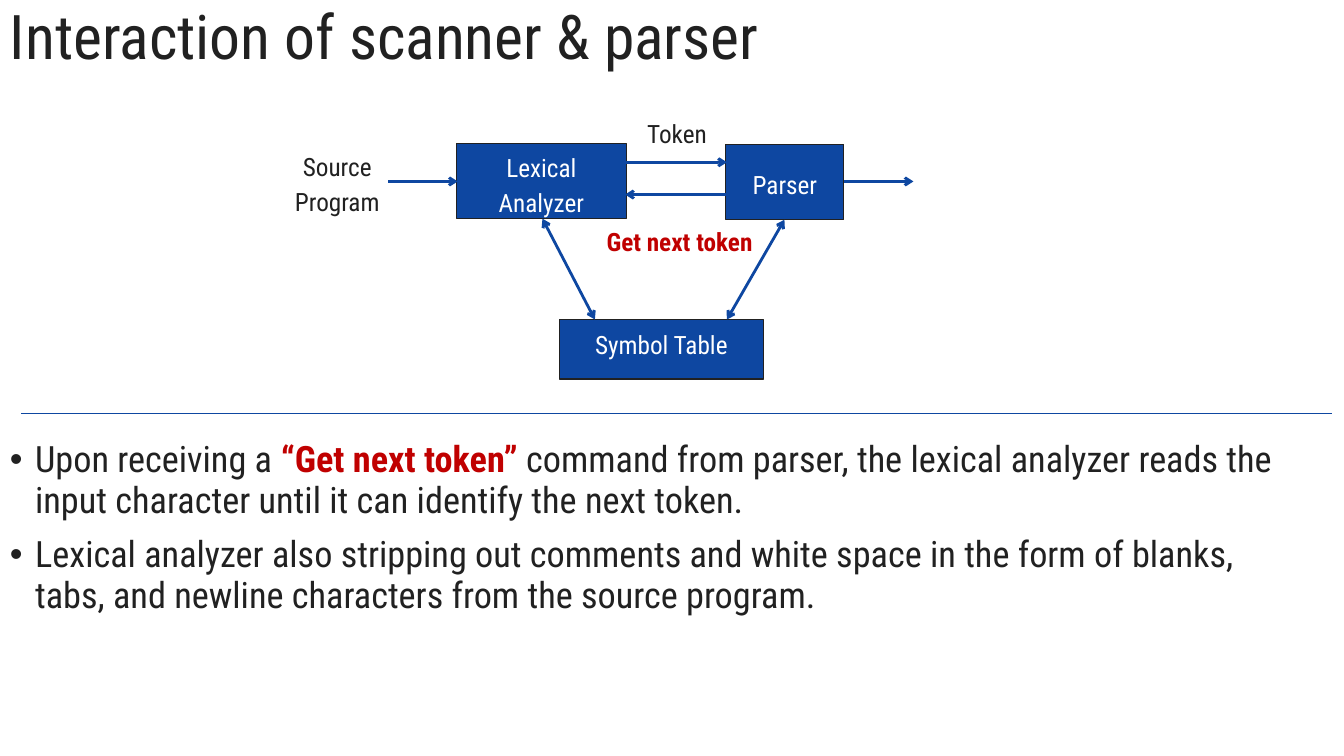
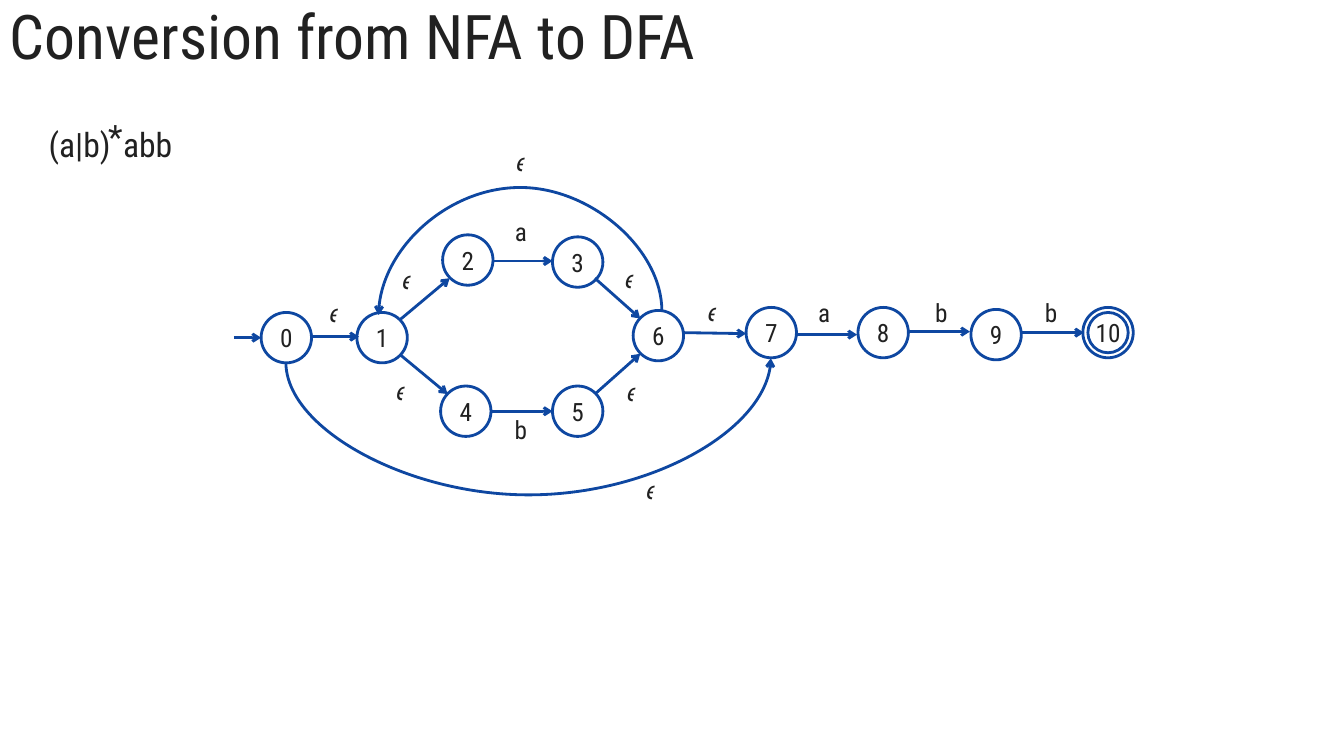
from pptx import Presentation
from pptx.dml.color import RGBColor
from pptx.enum.shapes import MSO_CONNECTOR, MSO_SHAPE
from pptx.enum.text import MSO_ANCHOR, PP_ALIGN
from pptx.oxml.ns import qn
from pptx.util import Inches, Pt
from lxml import etree

RECT, OVAL = MSO_SHAPE.RECTANGLE, MSO_SHAPE.OVAL
STRAIGHT, CURVE = MSO_CONNECTOR.STRAIGHT, MSO_CONNECTOR.CURVE
TOP, MIDDLE = MSO_ANCHOR.TOP, MSO_ANCHOR.MIDDLE
LEFT, CENTER = PP_ALIGN.LEFT, PP_ALIGN.CENTER

BLUE, INK, RED, WHITE = "0E47A1", "212121", "C00000", "FFFFFF"
FONT = "Roboto Condensed"
PADDING = (0.1, 0.05, 0.1, 0.05)
NO_PADDING = (0, 0, 0, 0)


def add_box(page, place, paragraphs, kind=None, fill=None, line=None, line_width=0.75,
            size=18, color=INK, anchor=MIDDLE, align=CENTER, spacing=1.0, padding=NO_PADDING):
    """Add a text box or preset shape; each paragraph is a list of (text, font values)."""
    place = [Inches(length) for length in place]
    if kind is None:
        box = page.shapes.add_textbox(*place)
    else:
        box = page.shapes.add_shape(kind, *place)
        box.shadow.inherit = False
        box.line.color.rgb = RGBColor.from_string(line)
        box.line.width = Pt(line_width)
        if fill:
            box.fill.solid()
            box.fill.fore_color.rgb = RGBColor.from_string(fill)
        else:
            box.fill.background()
    frame = box.text_frame
    left, top, right, bottom = [Inches(length) for length in padding]
    frame_format = {"word_wrap": True, "vertical_anchor": anchor, "margin_left": left,
                    "margin_top": top, "margin_right": right, "margin_bottom": bottom}
    for name, value in frame_format.items():
        setattr(frame, name, value)
    for index, spans in enumerate(paragraphs):
        para = frame.add_paragraph() if index else frame.paragraphs[0]
        para.alignment, para.line_spacing = align, spacing
        for text, values in spans:
            span = para.add_run()
            span.text = text
            font_format = {"name": FONT, "size": Pt(size), "bold": False, "color": color, **values}
            span.font.color.rgb = RGBColor.from_string(font_format.pop("color"))
            for name, value in font_format.items():
                setattr(span.font, name, value)
    return box


def add_line(page, start, end, heads=("tailEnd",), kind=STRAIGHT, color=BLUE, width=2):
    """Add a connector with open arrowheads at the named ends."""
    line = page.shapes.add_connector(kind, *[Inches(length) for length in (*start, *end)])
    line.line.color.rgb = RGBColor.from_string(color)
    line.line.width = Pt(width)
    for head in heads:
        etree.SubElement(line.line._get_or_add_ln(), qn(f"a:{head}"), type="arrow")
    etree.SubElement(line._element.spPr, qn("a:effectLst"))
    return line


deck = Presentation()
deck.slide_width, deck.slide_height = Inches(13.33), Inches(7.5)

# Pages with the shared title style
pages = []
for title in ("Interaction of scanner & parser", "Conversion from NFA to DFA"):
    page = deck.slides.add_slide(deck.slide_layouts[6])
    add_box(page, (0, 0, 13.33, 0.78), [[(title, {})]], size=44, align=LEFT,
            spacing=0.9, padding=PADDING)
    pages.append(page)
scanner_page, automaton_page = pages

# Scanner and parser: explanation
emphasis = {"color": RED, "bold": True}
body = add_box(scanner_page, (0, 4.31, 13.05, 1.93), [
    [("Upon receiving a ", {}), ("“Get next token” ", emphasis),
     ("command from parser, the lexical analyzer reads the input character until "
      "it can identify the next token.", {})],
    [("Lexical analyzer also stripping out comments and white space in the form of blanks, "
      "tabs, and newline characters from the source program.", {})],
], size=25.9, anchor=TOP, align=LEFT, spacing=0.94, padding=PADDING)
for index, para in enumerate(body.text_frame.paragraphs):
    para.space_before = Pt(10 if index else 0)
    properties = para._p.get_or_add_pPr()
    properties.set("marL", str(Inches(0.25)))
    properties.set("indent", str(-Inches(0.25)))
    etree.SubElement(properties, qn("a:buFont"), typeface="Arial")
    etree.SubElement(properties, qn("a:buChar"), char="•")

# Scanner and parser: blocks and labels
blocks = [
    ("Lexical Analyzer", (4.53, 1.42, 1.68, 0.75), BLUE, INK, WHITE, PADDING),
    ("Symbol Table", (5.55, 3.17, 2.02, 0.59), BLUE, INK, WHITE, PADDING),
    ("Parser", (7.2, 1.43, 1.17, 0.75), BLUE, INK, WHITE, (0.1, 0.2, 0.1, 0.1)),
    ("Token", (6.27, 1.08, 0.89, 0.39), WHITE, WHITE, INK, PADDING),
    ("Source Program", (2.73, 1.41, 1.23, 0.85), WHITE, WHITE, INK, PADDING),
]
for text, place, fill, line, color, padding in blocks:
    add_box(scanner_page, place, [[(text, {})]], RECT, fill, line, color=color,
            anchor=TOP, spacing=1.15, padding=padding)
add_box(scanner_page, (5.92, 2.2, 1.64, 0.44), [[("Get next token", emphasis)]],
        anchor=TOP, spacing=1.15)

# Scanner and parser: arrows and divider
for start, end in [((3.85, 1.8), (4.54, 1.8)), ((6.21, 1.61), (7.21, 1.61)),
                   ((7.2, 1.93), (6.2, 1.93)), ((8.37, 1.8), (9.06, 1.8))]:
    add_line(scanner_page, start, end)
for start, end in [((5.38, 2.17), (5.9, 3.17)), ((7.78, 2.18), (7.21, 3.17))]:
    add_line(scanner_page, start, end, heads=("headEnd", "tailEnd"))
add_line(scanner_page, (0.21, 4.1), (13.21, 4.1), heads=(), width=1)

# Automaton: regular expression
for text, place in [("(a|b)", (0.25, 1.22, 1.08, 0.42)), ("*", (0.96, 1.14, 0.37, 0.42)),
                    ("abb", (1.09, 1.22, 0.75, 0.42))]:
    add_box(automaton_page, place, [[(text, {})]], size=24)

# Automaton: states, numbered in order
states = [(2.59, 3.1), (3.54, 3.1), (4.39, 2.33), (5.48, 2.35), (4.37, 3.83), (5.48, 3.83),
          (6.28, 3.08), (7.4, 3.05), (8.51, 3.05), (9.63, 3.07), (10.74, 3.05)]
for number, corner in enumerate(states):
    add_box(automaton_page, (*corner, 0.5, 0.5), [[(str(number), {})]], OVAL,
            line=BLUE, line_width=2)
add_box(automaton_page, (10.79, 3.1, 0.4, 0.4), [], OVAL, line=BLUE, line_width=2)

# Automaton: straight transitions
for start, end in [
    ((2.32, 3.35), (2.59, 3.35)), ((3.1, 3.34), (3.56, 3.34)),
    ((3.97, 3.17), (4.46, 2.76)), ((3.97, 3.52), (4.44, 3.91)),
    ((4.89, 2.59), (5.48, 2.59)), ((4.87, 4.08), (5.48, 4.08)),
    ((5.9, 2.76), (6.35, 3.16)), ((5.9, 3.91), (6.35, 3.51)),
    ((6.78, 3.3), (7.4, 3.31)), ((7.89, 3.32), (8.5, 3.32)),
    ((9.01, 3.29), (9.62, 3.29)), ((10.13, 3.3), (10.75, 3.3)),
]:
    add_line(automaton_page, start, end)

# Automaton: curved transitions, turned upright and bent outwards by depth
for left, top, height, turn, depth in [(5.14, 1.7, 2.81, 270, 1.22), (5.22, 1.17, 4.81, 90, 1.31)]:
    width = 0.04
    arc = add_line(automaton_page, (left, top), (left + width, top + height), kind=CURVE)
    frame = arc._element.spPr.find(qn("a:xfrm"))
    for name, value in {"rot": turn * 60000, "flipH": 1, "flipV": 1}.items():
        frame.set(name, str(value))
    geometry = arc._element.spPr.find(qn("a:prstGeom"))
    bend = round(-depth / width * 100000)
    etree.SubElement(geometry.find(qn("a:avLst")), qn("a:gd"), name="adj1", fmla=f"val {bend}")

# Automaton: transition labels
labels = {
    "𝜖": [(3.12, 2.93), (6.87, 2.92), (3.78, 3.7), (3.84, 2.6), (6.05, 2.59),
          (6.07, 3.71), (4.97, 1.43), (6.26, 4.69)],
    "a": [(4.97, 2.13), (7.98, 2.93)],
    "b": [(4.97, 4.09), (9.14, 2.93), (10.23, 2.93)],
}
for symbol, corners in labels.items():
    for corner in corners:
        add_box(automaton_page, (*corner, 0.39, 0.34), [[(symbol, {})]])

deck.save("out.pptx")
